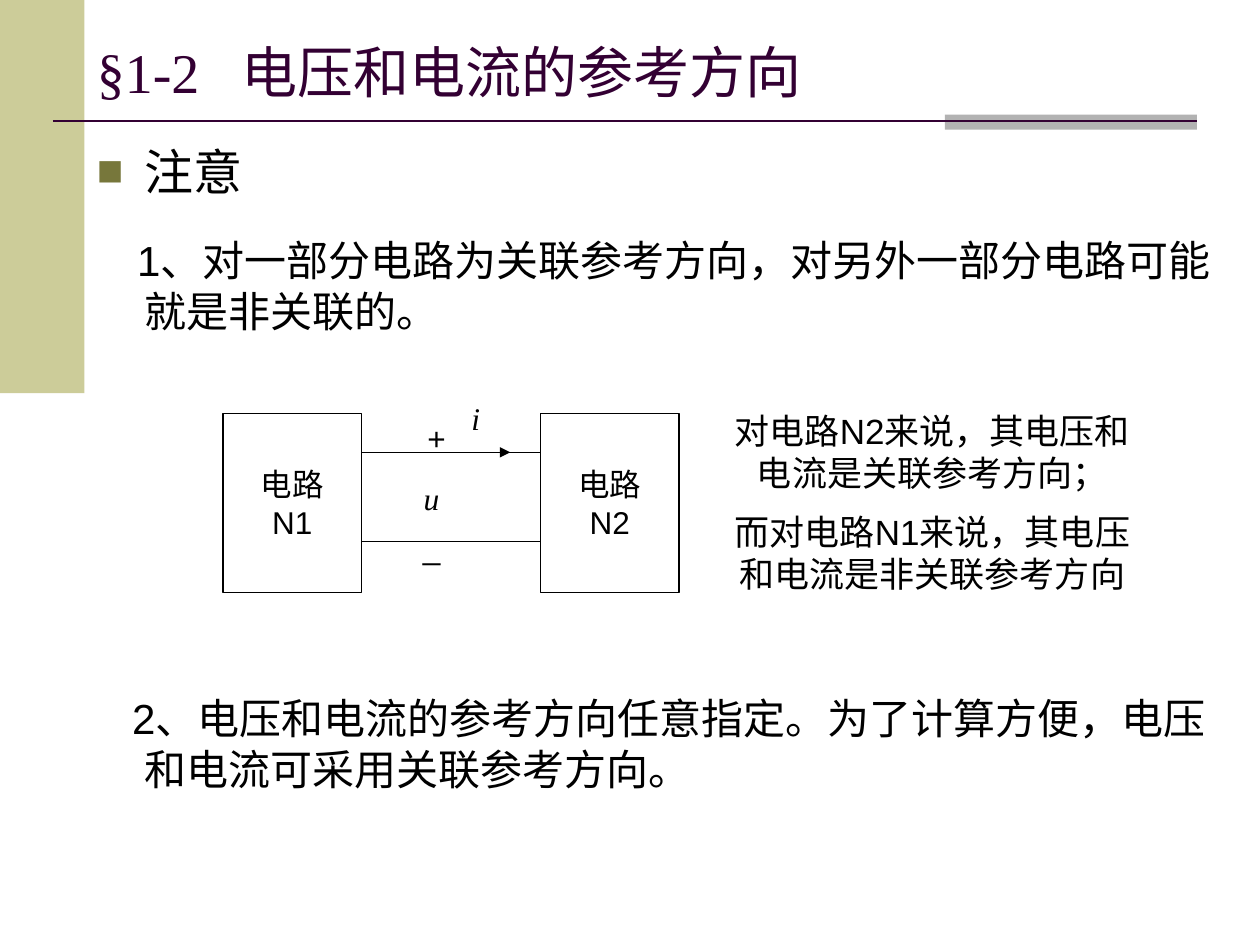
from lxml import etree
from pptx import Presentation
from pptx.dml.color import RGBColor
from pptx.enum.shapes import MSO_CONNECTOR, MSO_SHAPE
from pptx.enum.text import MSO_ANCHOR as Anchor, PP_ALIGN as Align
from pptx.oxml import parse_xml
from pptx.oxml.ns import nsdecls, qn
from pptx.util import Inches, Pt

BLACK = RGBColor(0x00, 0x00, 0x00)
PLUM = RGBColor(0x33, 0x00, 0x33)
SAND = RGBColor(0xCC, 0xCC, 0x99)
GRAY = RGBColor(0xB2, 0xB2, 0xB2)
TIMES = "Times New Roman"

deck = Presentation()
deck.slide_width, deck.slide_height = Inches(10), Inches(7.5)
slide = deck.slides.add_slide(deck.slide_layouts[6])
shapes = slide.shapes


def write(frame, lines, size=18, font="Arial", color=BLACK, italic=False,
          align=Align.CENTER, anchor=Anchor.TOP, wrap=True, gap=0):
    """Fill a frame with one paragraph per line; gap is the space between them."""
    frame.word_wrap = wrap
    frame.vertical_anchor = anchor
    for i, line in enumerate(lines):
        para = frame.paragraphs[0] if i == 0 else frame.add_paragraph()
        para.alignment = align
        para.space_before = Pt(gap if i else 0)
        run = para.add_run()
        run.text = line
        run.font.size, run.font.name = Pt(size), font
        run.font.italic, run.font.color.rgb = italic, color
    return frame.paragraphs


def draw_line(left, right, y, color=BLACK, width=0.75, arrow=False):
    line = shapes.add_connector(MSO_CONNECTOR.STRAIGHT, Inches(left), Inches(y),
                                Inches(right), Inches(y))
    line.line.color.rgb, line.line.width = color, Pt(width)
    if arrow:
        etree.SubElement(line.line._get_or_add_ln(), qn("a:tailEnd"), type="triangle")
    etree.SubElement(line._element.spPr, qn("a:effectLst"))


# Page decoration
for left, top, wide, high, color in [(0, 0, 0.67, 3.12, SAND),
                                     (7.5, 0.91, 2, 0.12, GRAY)]:
    band = shapes.add_shape(MSO_SHAPE.RECTANGLE, Inches(left), Inches(top),
                            Inches(wide), Inches(high))
    band.shadow.inherit = False
    band.fill.solid()
    band.fill.fore_color.rgb = color
    band.line.fill.background()
draw_line(0.42, 9.5, 0.96, color=PLUM, width=1.5)

# Title, with a tab after the section number
title = shapes.add_textbox(Inches(0.67), Inches(0.3), Inches(8.83), Inches(0.53))
head = write(title.text_frame, ["§1-2\t电压和电流的参考方向"], size=32, font=TIMES,
             color=PLUM, align=Align.LEFT, anchor=Anchor.MIDDLE)[0]
head._p.get_or_add_pPr().append(parse_xml(
    f'<a:tabLst {nsdecls("a")}><a:tab pos="{Inches(1.15)}" algn="l"/></a:tabLst>'))

# Body: a bulleted heading and two notes, with room for the circuit between them
body = shapes.add_textbox(Inches(0.67), Inches(1.07), Inches(9.08), Inches(5.78))
notes = write(body.text_frame, [
    "注意",
    "1、对一部分电路为关联参考方向，对另外一部分电路可能就是非关联的。",
    "2、电压和电流的参考方向任意指定。为了计算方便，电压和电流可采用关联参考方向。",
], size=24, align=Align.LEFT)
for para, indent, gap in zip(notes, (-0.38, -0.06, -0.1), (0, 20, 204)):
    props = para._p.get_or_add_pPr()
    props.set("marL", str(Inches(0.38)))
    props.set("indent", str(Inches(indent)))
    para.space_before = Pt(gap)
notes[0].runs[0].font.size = Pt(28)
for bullet in ('<a:buClr {}><a:srgbClr val="77773B"/></a:buClr>',
               '<a:buSzPct {} val="90000"/>',
               '<a:buFont {} typeface="Arial"/>',
               '<a:buChar {} char="■"/>'):
    notes[0]._p.pPr.append(parse_xml(bullet.format(nsdecls("a"))))

# Circuit: two blocks, two wires and the current arrow
for left, name in [(1.77, "N1"), (4.29, "N2")]:
    block = shapes.add_shape(MSO_SHAPE.RECTANGLE, Inches(left), Inches(3.28),
                             Inches(1.1), Inches(1.42))
    block.shadow.inherit = False
    block.fill.background()
    block.line.color.rgb, block.line.width = BLACK, Pt(0.75)
    write(block.text_frame, ["电路", name], anchor=Anchor.MIDDLE, wrap=False)
for y in (3.59, 4.3):
    draw_line(2.87, 4.29, y)
draw_line(3.5, 4.05, 3.59, arrow=True)

for text, left, top, wide, font in [("i", 3.5, 3.12, 0.55, TIMES),
                                    ("u", 3.19, 3.75, 0.47, TIMES),
                                    ("+", 3.27, 3.28, 0.39, "Arial"),
                                    ("_", 3.19, 4.14, 0.47, "Arial")]:
    label = shapes.add_textbox(Inches(left), Inches(top), Inches(wide), Inches(0.4))
    write(label.text_frame, [text], font=font, italic=font == TIMES)

remark = shapes.add_textbox(Inches(5.63), Inches(3.2), Inches(3.54), Inches(1.6))
write(remark.text_frame, ["对电路N2来说，其电压和电流是关联参考方向；",
                          "而对电路N1来说，其电压和电流是非关联参考方向"],
      size=20, gap=10)

deck.save("out.pptx")
